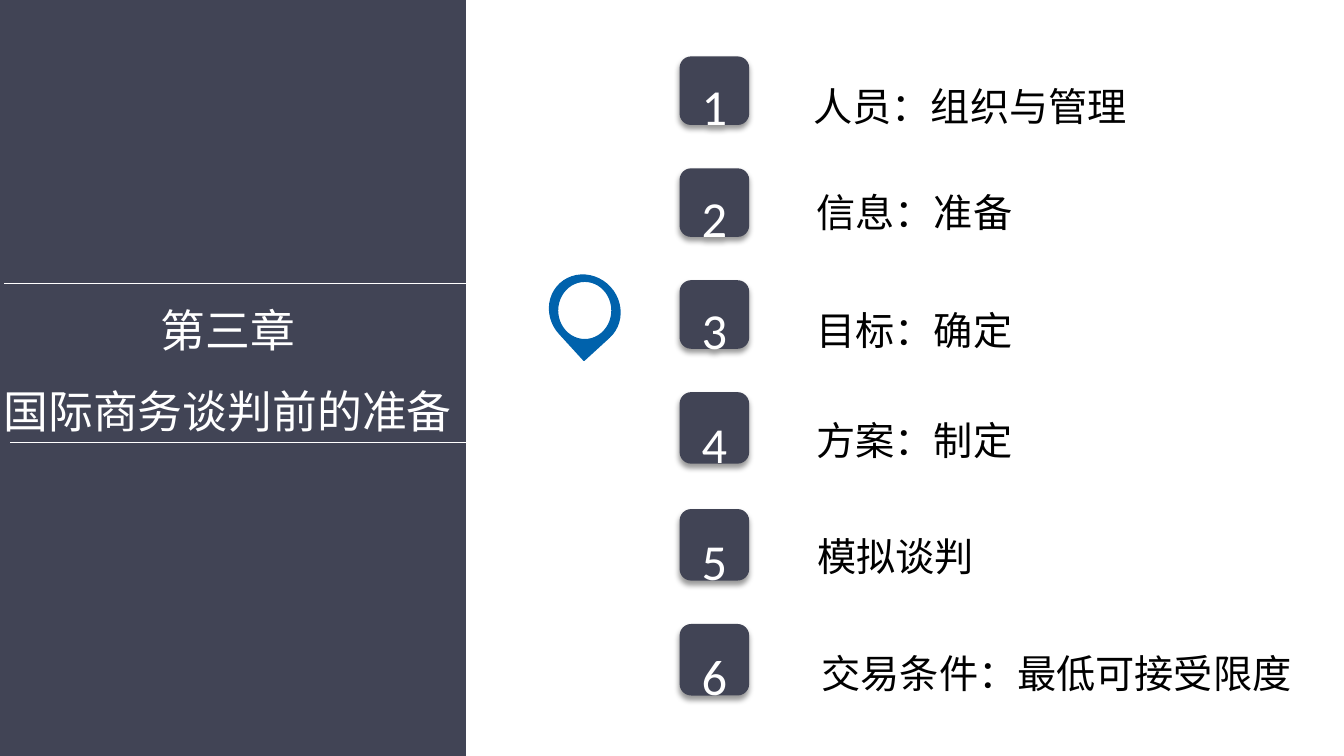
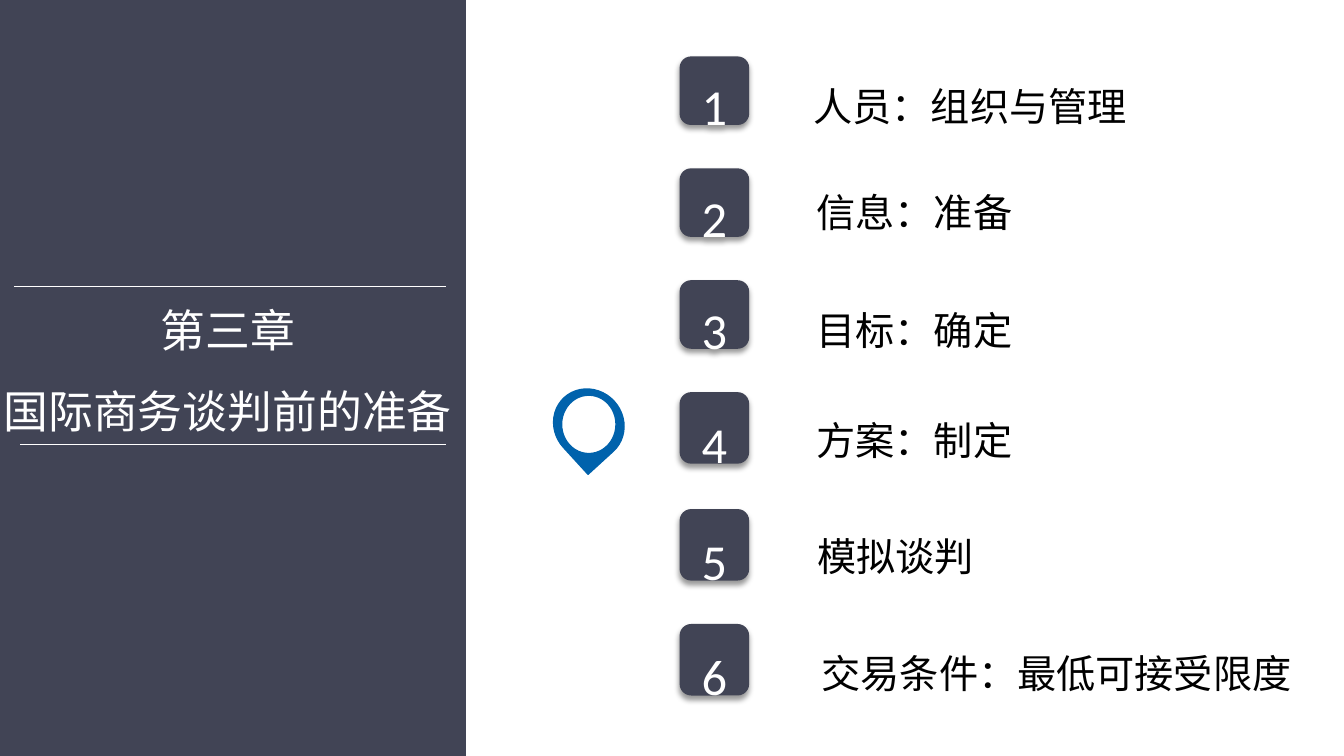
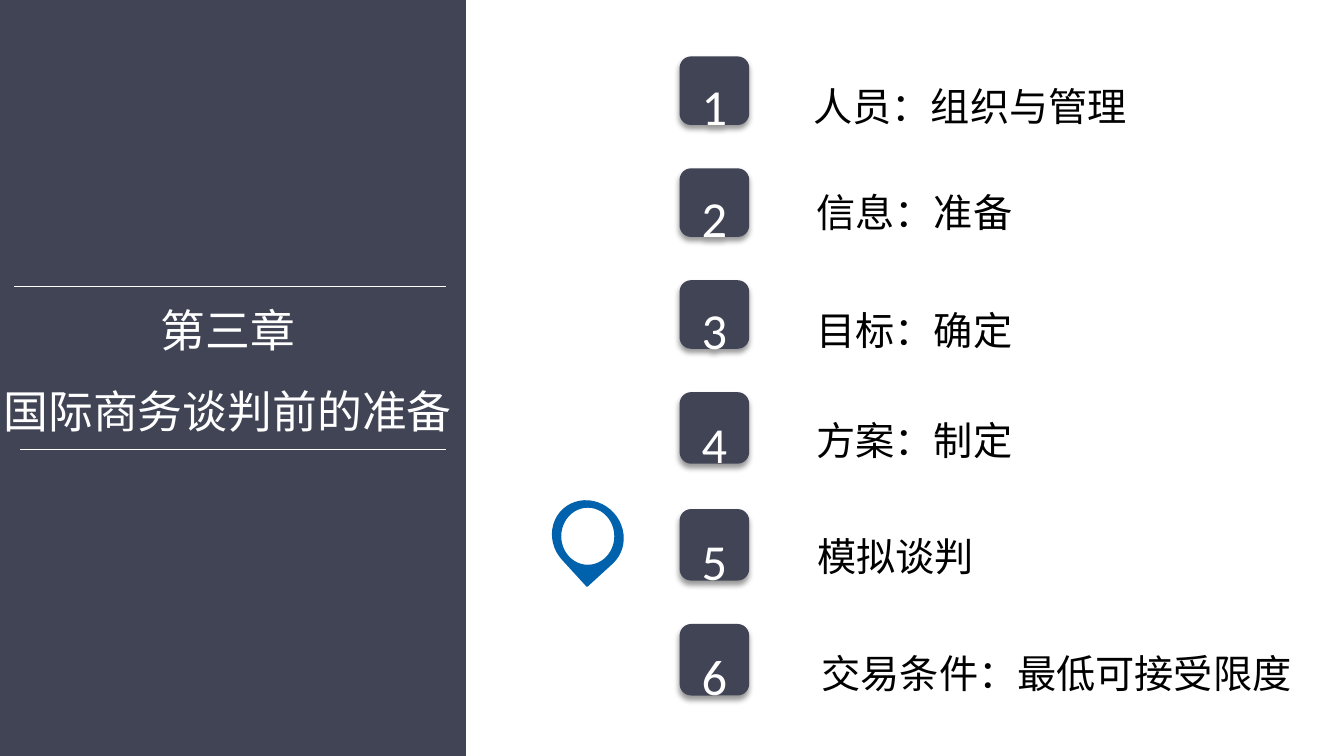
from dataclasses import dataclass

from pptx import Presentation
from pptx.dml.color import RGBColor
from pptx.enum.shapes import MSO_CONNECTOR, MSO_SHAPE
from pptx.enum.text import MSO_ANCHOR, MSO_AUTO_SIZE, PP_ALIGN
from pptx.oxml import parse_xml
from pptx.oxml.ns import nsdecls, qn
from pptx.shapes.autoshape import Shape
from pptx.shapes.shapetree import GroupShapes
from pptx.slide import Slide
from pptx.text.text import TextFrame
from pptx.util import Inches, Pt


@dataclass(frozen=True)
class Style:
    font: str
    size: int
    color: str


@dataclass(frozen=True)
class Theme:
    dark: str = "414455"
    blue: str = "0062AC"
    white: str = "FFFFFF"
    space: float = 1.5
    east: str = "Calibri"
    title: Style = Style("Times New Roman", 32, "FFFFFF")
    label: Style = Style("Noto Sans CJK SC", 28, "000000")
    digit: Style = Style("Calibri", 36, "FFFFFF")


@dataclass(frozen=True)
class Box:
    left: float
    top: float
    width: float
    height: float


@dataclass(frozen=True)
class Item:
    text: str
    badge: Box
    label: Box


@dataclass(frozen=True)
class Rule:
    left: float
    right: float
    top: float


@dataclass(frozen=True)
class Page:
    pin: Box
    rules: tuple[Rule, Rule]


THEME = Theme()
PANEL = Box(0, 0, 4.62, 7.5)
HEAD = Box(-0.1, 2.69, 4.72, 1.61)
TITLE = ["第三章", "国际商务谈判前的准备"]


def item(text: str, top: float, tall: float,
         left: float, high: float, wide: float) -> Item:
    return Item(text, Box(6.74, top, 0.69, tall), Box(left, high, wide, 0.81))


ITEMS = [
    item("人员：组织与管理", 0.56, 0.68, 7.97, 0.53, 3.34),
    item("信息：准备", 1.67, 0.68, 8, 1.59, 2.17),
    item("目标：确定", 2.78, 0.68, 8, 2.76, 2.17),
    item("方案：制定", 3.89, 0.71, 8, 3.85, 2.17),
    item("模拟谈判", 5.05, 0.71, 8.01, 5, 1.77),
    item("交易条件：最低可接受限度", 6.19, 0.71, 8.05, 6.16, 4.91),
]

PAGES = [
    Page(Box(5.46, 2.72, 0.68, 0.72),
         (Rule(0.04, 4.62, 2.81), Rule(0.1, 4.62, 4.39))),
    Page(Box(5.5, 3.85, 0.68, 0.72),
         (Rule(0.14, 4.42, 2.84), Rule(0.2, 4.42, 4.41))),
    Page(Box(5.49, 4.96, 0.68, 0.72),
         (Rule(0.14, 4.42, 2.84), Rule(0.2, 4.42, 4.46))),
]


# Basic parts
def place(box: Box) -> tuple[int, int, int, int]:
    return (Inches(box.left), Inches(box.top),
            Inches(box.width), Inches(box.height))


def write(frame: TextFrame, lines: list[str], style: Style,
          align: PP_ALIGN) -> None:
    for i, line in enumerate(lines):
        para = frame.add_paragraph() if i else frame.paragraphs[0]
        para.alignment = align
        para.line_spacing = THEME.space
        run = para.add_run()
        run.text = line
        run.font.name = style.font
        run.font.size = Pt(style.size)
        run.font.color.rgb = RGBColor.from_string(style.color)
        props = run._r.get_or_add_rPr()
        props.set("lang", "zh-CN")
        props.find(qn("a:latin")).addnext(parse_xml(
            f'<a:ea {nsdecls("a")} typeface="{THEME.east}"/>'))


def draw(shapes: GroupShapes, kind: MSO_SHAPE, box: Box, fill: str,
         line: str | None = None) -> Shape:
    shape = shapes.add_shape(kind, *place(box))
    shape.shadow.inherit = False
    shape.fill.solid()
    shape.fill.fore_color.rgb = RGBColor.from_string(fill)
    if line:
        shape.line.color.rgb = RGBColor.from_string(line)
        shape.line.width = Pt(1)
    else:
        shape.line.fill.background()
    return shape


def shade(shape: Shape) -> None:
    glow = shape.element.spPr.find(qn("a:effectLst"))
    glow.append(parse_xml(
        f'<a:outerShdw {nsdecls("a")} blurRad="{Pt(4)}" dist="{Pt(3)}" '
        'dir="5400000" algn="t" rotWithShape="0"><a:srgbClr val="000000">'
        '<a:alpha val="40000"/></a:srgbClr></a:outerShdw>'))


# Side panel with the chapter title
def add_head(slide: Slide) -> None:
    panel = draw(slide.shapes, MSO_SHAPE.RECTANGLE, PANEL, THEME.dark)
    title = slide.shapes.title
    panel.element.addnext(title.element)
    title.left, title.top, title.width, title.height = place(HEAD)
    frame = title.text_frame
    frame.word_wrap = True
    frame.auto_size = MSO_AUTO_SIZE.SHAPE_TO_FIT_TEXT
    frame.vertical_anchor = MSO_ANCHOR.TOP
    write(frame, TITLE, THEME.title, PP_ALIGN.CENTER)


def add_rules(slide: Slide, rules: tuple[Rule, Rule]) -> None:
    group = slide.shapes.add_group_shape()
    for rule in rules:
        line = group.shapes.add_connector(
            MSO_CONNECTOR.STRAIGHT, Inches(rule.left), Inches(rule.top),
            Inches(rule.right), Inches(rule.top))
        line.line.color.rgb = RGBColor.from_string(THEME.white)
        line.line.width = Pt(0.5)
        line.element.spPr.append(parse_xml(f'<a:effectLst {nsdecls("a")}/>'))


# Numbered agenda
def add_item(slide: Slide, num: int, entry: Item) -> None:
    badge = draw(slide.shapes, MSO_SHAPE.ROUNDED_RECTANGLE, entry.badge,
                 THEME.dark)
    shade(badge)
    badge.text_frame.vertical_anchor = MSO_ANCHOR.MIDDLE
    write(badge.text_frame, [str(num)], THEME.digit, PP_ALIGN.CENTER)
    label = slide.shapes.add_textbox(*place(entry.label))
    label.text_frame.word_wrap = False
    label.text_frame.auto_size = MSO_AUTO_SIZE.SHAPE_TO_FIT_TEXT
    write(label.text_frame, [entry.text], THEME.label, PP_ALIGN.LEFT)


# Pin beside the current item
def add_pin(slide: Slide, box: Box) -> None:
    group = slide.shapes.add_group_shape()
    drop = draw(group.shapes, MSO_SHAPE.TEAR, box, THEME.blue, THEME.blue)
    drop.rotation = 137.5
    hole = Box(box.left + 0.07, box.top + 0.07, 0.54, 0.58)
    draw(group.shapes, MSO_SHAPE.OVAL, hole, THEME.white, THEME.blue)


def main() -> None:
    deck = Presentation()
    deck.slide_width, deck.slide_height = Inches(13.33), Inches(7.5)
    for page in PAGES:
        slide = deck.slides.add_slide(deck.slide_layouts[5])
        add_head(slide)
        add_rules(slide, page.rules)
        add_pin(slide, page.pin)
        for num, entry in enumerate(ITEMS, 1):
            add_item(slide, num, entry)
    deck.save("out.pptx")


main()
